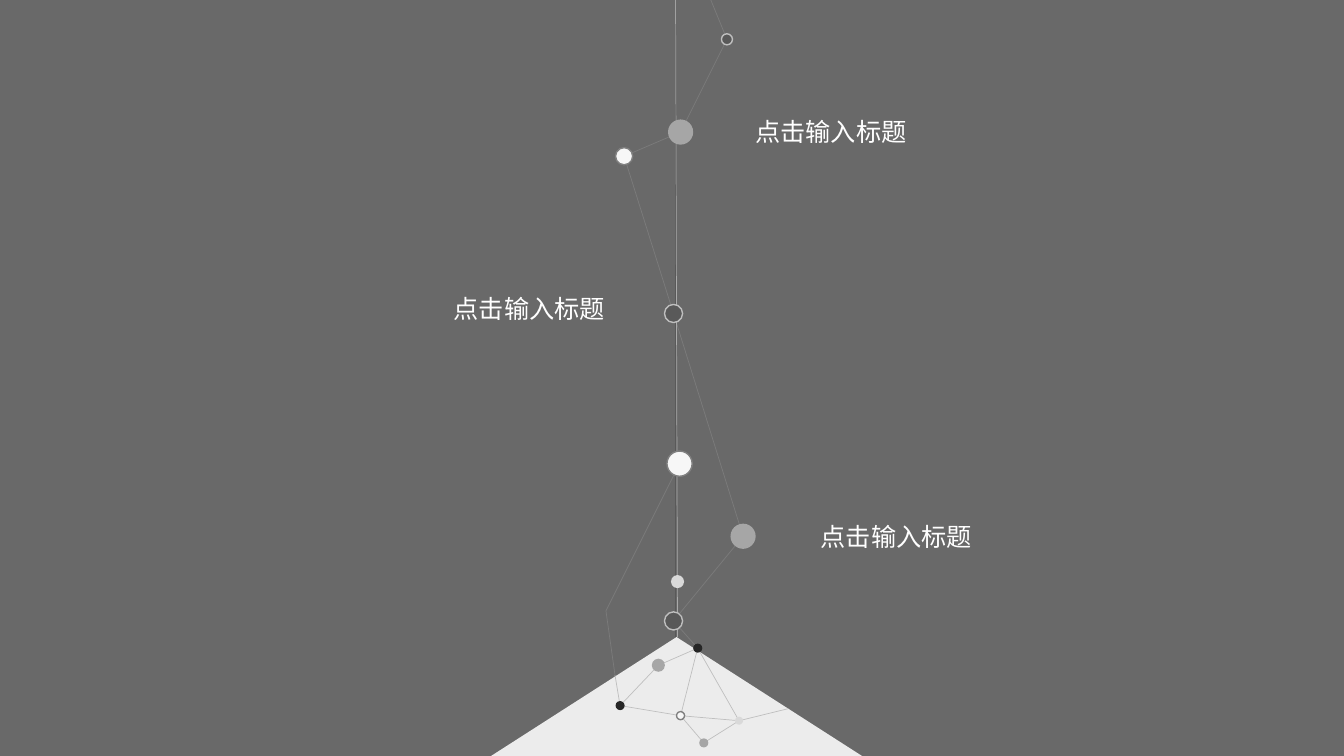
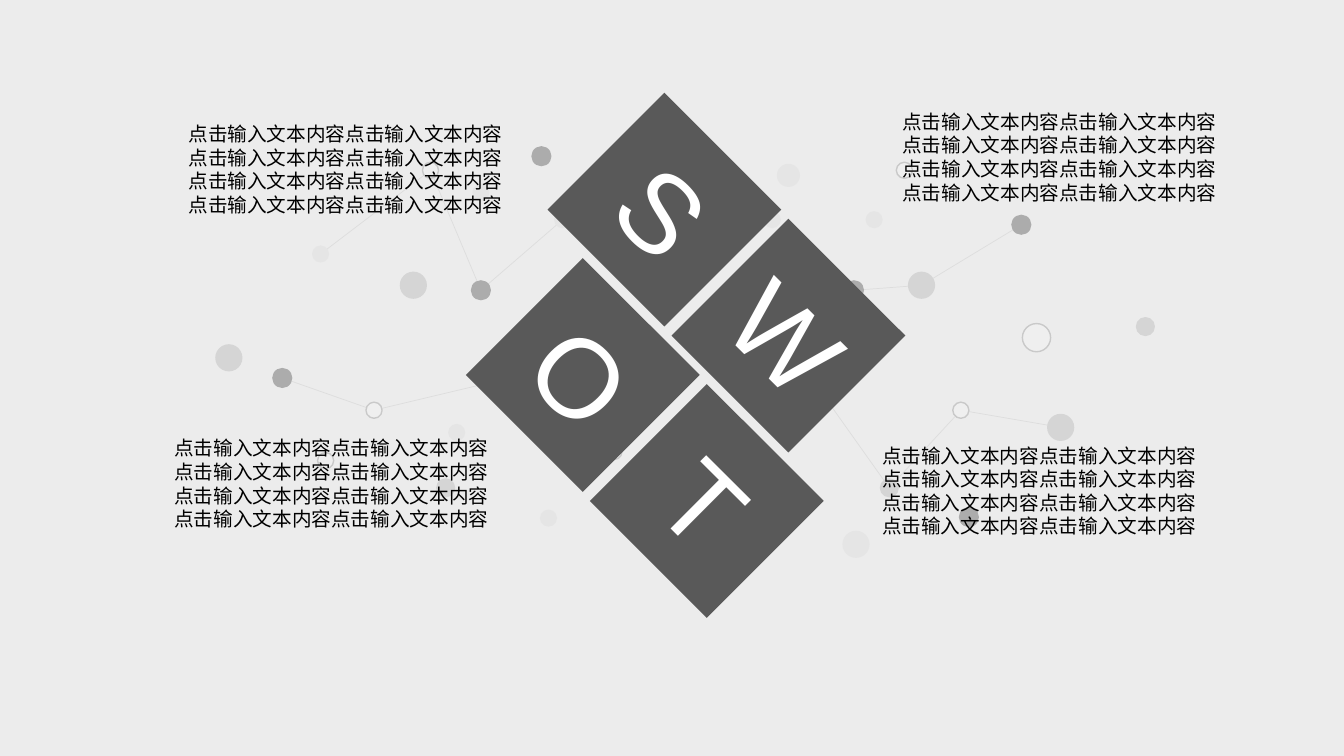
from collections import namedtuple
from itertools import pairwise

from lxml.etree import SubElement
from pptx import Presentation
from pptx.dml.color import RGBColor
from pptx.enum.shapes import MSO_CONNECTOR, MSO_SHAPE
from pptx.enum.text import MSO_ANCHOR, MSO_AUTO_SIZE, PP_ALIGN
from pptx.oxml.ns import qn
from pptx.util import Inches, Pt

COLS, ROWS = 13.33, 7.5
FONT = "Arial"
COLORS = {
    "slate": "696969", "paper": "ECECEC", "dark": "595959", "ink": "262626",
    "mid": "A6A6A6", "pale": "D9D9D9", "snow": "F7F7F7", "edge": "808080",
    "thread": "BFBFBF", "white": "FFFFFF", "black": "000000",
}
NODE_STYLES = {
    "ink": ("ink", None), "mid": ("mid", None), "pale": ("pale", None),
    "snow": ("snow", "edge"), "ring": ("dark", "thread"),
}
LABEL = "点击输入标题"
PHRASE = "点击输入文本内容"
BODY = [PHRASE * 4, PHRASE * 2, PHRASE * 2]

Box = namedtuple("Box", "x y w h")
Node = namedtuple("Node", "style x y d")
Point = namedtuple("Point", "x y")

TIMELINE_NODES = {
    "start": Node("ring", 7.21, 0.39, 0.11),
    "first": Node("mid", 6.75, 1.31, 0.25),
    "satellite": Node("snow", 6.19, 1.55, 0.17),
    "second": Node("ring", 6.68, 3.11, 0.18),
    "pearl": Node("snow", 6.74, 4.6, 0.25),
    "third": Node("mid", 7.37, 5.32, 0.25),
    "bead": Node("pale", 6.72, 5.77, 0.13),
    "end": Node("ring", 6.68, 6.16, 0.18),
    "summit": Node("ink", 6.92, 6.43, 0.09),
    "ridge": Node("mid", 6.53, 6.6, 0.13),
    "foot": Node("ink", 6.15, 7, 0.09),
    "core": Node("snow", 6.75, 7.1, 0.08),
    "flank": Node("pale", 7.33, 7.15, 0.08),
    "base": Node("mid", 6.98, 7.37, 0.09),
}
TIMELINE_POINTS = {
    "sky": Point(7.05, 0), "bend": Point(6.01, 6.06),
    "slope": Point(6.1, 6.7), "edge": Point(7.82, 7.03),
}
SKY_PATHS = [
    "sky start first satellite second third end summit",
    "pearl bend slope",
]
PEAK_PATHS = [
    "slope foot core flank edge",
    "foot ridge summit core base flank summit",
]
LABEL_OFFSETS = {"first": (1.49, 0), "second": (-1.43, -0.05), "third": (1.52, 0)}

MIRROR_AXIS = 6.62
PAIRED_NODES = {
    "hub": Node("mid", 4.1, 2.83, 0.27),
    "gate": Node("ink", 4.77, 2.88, 0.2),
    "top": Node("snow", 4.27, 1.69, 0.16),
    "shoulder": Node("pale", 5.58, 2.18, 0.17),
    "bridge": Node("snow", 3.71, 4.07, 0.16),
    "inner": Node("snow", 6.09, 4.48, 0.16),
    "lower": Node("mid", 4.42, 4.84, 0.19),
    "floor": Node("pale", 5.44, 5.14, 0.17),
}
SINGLE_NODES = {
    "west_end": Node("ink", 2.8, 3.75, 0.2),
    "west_high": Node("pale", 3.18, 2.52, 0.17),
    "west_far": Node("mid", 2.27, 3.55, 0.27),
    "west_low": Node("snow", 3.23, 4.57, 0.16),
    "west_near": Node("pale", 4.53, 4.29, 0.17),
    "west_text": Node("pale", 4.77, 1.91, 0.17),
    "west_crown": Node("ink", 5.37, 1.55, 0.2),
    "east_end": Node("mid", 10.52, 4.24, 0.27),
    "east_high": Node("ink", 10.13, 2.23, 0.2),
    "east_far": Node("mid", 11.36, 3.24, 0.19),
    "east_ring": Node("snow", 10.28, 3.35, 0.28),
    "east_near": Node("pale", 8.67, 2.18, 0.17),
    "east_crown": Node("pale", 7.82, 1.74, 0.23),
    "east_text": Node("ink", 9.61, 5.13, 0.2),
    "east_floor": Node("pale", 8.49, 5.4, 0.27),
}
TILE_POINTS = {"o_tile": Point(5.18, 3.72), "w_tile": Point(8.06, 3.77)}
SWOT_PATHS = [
    "west_high top_w gate_w shoulder_w",
    "west_end bridge_w o_tile",
    "gate_e hub_e east_high",
    "w_tile lower_e bridge_e east_end",
]
TILE_STEPS = {"S": (0, 0), "W": (1, 0), "O": (0, 1), "T": (1, 1)}
SWOT_TEXTS = {"S": (1.77, 1.16), "W": (8.85, 1.04), "O": (1.63, 4.28), "T": (8.65, 4.35)}


def rgb(name):
    """Return the named colour."""
    return RGBColor.from_string(COLORS[name])


def cell(box, x, y, w=0, h=0):
    """Turn grid columns and rows inside a box into slide lengths."""
    kx, ky = box.w / COLS, box.h / ROWS
    return [Inches(v) for v in (box.x + x * kx, box.y + y * ky, w * kx, h * ky)]


def centred(box, x, y, w, h):
    """Return the area of a part centred on a grid point."""
    return cell(box, x - w / 2, y - h / 2, w, h)


def mirrored(nodes):
    """Return each node on the west side and its reflection on the east side."""
    west = {f"{name}_w": n for name, n in nodes.items()}
    east = {f"{name}_e": n._replace(x=2 * MIRROR_AXIS - n.x) for name, n in nodes.items()}
    return west | east


def set_opacity(shape, percent):
    """Make every colour of a shape partly transparent."""
    for clr in shape.element.spPr.iter(qn("a:srgbClr")):
        SubElement(clr, qn("a:alpha")).set("val", str(percent * 1000))


def add_block(s, area, kind, fill, line=None, rotation=0):
    """Add a flat preset shape."""
    sp = s.shapes.add_shape(kind, *area)
    sp.shadow.inherit = False
    sp.rotation = rotation
    sp.fill.solid()
    sp.fill.fore_color.rgb = rgb(fill)
    if line:
        sp.line.color.rgb = rgb(line)
        sp.line.width = Pt(1)
    else:
        sp.line.fill.background()
    return sp


def add_line(s, box, start, end, color="thread", width=0.5, opacity=100):
    """Add a straight line between two grid points."""
    ends = [cell(box, p.x, p.y)[:2] for p in (start, end)]
    c = s.shapes.add_connector(MSO_CONNECTOR.STRAIGHT, *ends[0], *ends[1])
    c.line.color.rgb = rgb(color)
    c.line.width = Pt(width)
    SubElement(c.element.spPr, qn("a:effectLst"))
    if opacity < 100:
        set_opacity(c, opacity)


def add_paths(s, box, paths, places, opacity=100):
    """Link the named places along each path."""
    for path in paths:
        for a, b in pairwise(path.split()):
            add_line(s, box, places[a], places[b], opacity=opacity)


def add_nodes(s, box, nodes):
    """Add the round nodes of a network."""
    for n in nodes.values():
        add_block(s, centred(box, n.x, n.y, n.d, n.d), MSO_SHAPE.OVAL, *NODE_STYLES[n.style])


def write(sp, lines, size, color, align=PP_ALIGN.LEFT, anchor=MSO_ANCHOR.TOP, grow=False):
    """Write formatted paragraphs into a shape."""
    tf = sp.text_frame
    tf.word_wrap = True
    tf.vertical_anchor = anchor
    if grow:
        tf.auto_size = MSO_AUTO_SIZE.SHAPE_TO_FIT_TEXT
    for i, text in enumerate(lines):
        p = tf.add_paragraph() if i else tf.paragraphs[0]
        p.alignment = align
        r = p.add_run()
        r.text = text
        r.font.name = FONT
        r.font.size = Pt(size)
        r.font.color.rgb = rgb(color)


def add_labels(s, box, nodes):
    """Set a label beside each main node of the timeline."""
    for name, (dx, dy) in LABEL_OFFSETS.items():
        n = nodes[name]
        sp = s.shapes.add_textbox(*centred(box, n.x + dx, n.y + dy, 2.62, 0.4))
        write(sp, [LABEL], size=18, color="white", align=PP_ALIGN.CENTER, grow=True)


def add_tiles(s, box, x=6.59, y=2.08, side=1.64):
    """Add the four tilted letter tiles on a slanted two by two grid."""
    for letter, (i, j) in TILE_STEPS.items():
        area = centred(box, x + 1.23 * i - 0.81 * j, y + 1.25 * i + 1.64 * j, side, side)
        sp = add_block(s, area, MSO_SHAPE.RECTANGLE, "dark", rotation=45)
        write(sp, [letter], size=80, color="white", align=PP_ALIGN.CENTER,
              anchor=MSO_ANCHOR.MIDDLE)


def add_texts(s, box):
    """Add the text block that belongs to each letter."""
    for x, y in SWOT_TEXTS.values():
        sp = s.shapes.add_textbox(*cell(box, x, y, 3.42, 1.28))
        write(sp, BODY, size=14, color="black", grow=True)


def new_slide(prs, background):
    """Add a blank slide with a plain background."""
    s = prs.slides.add_slide(prs.slide_layouts[6])
    s.background.fill.solid()
    s.background.fill.fore_color.rgb = rgb(background)
    return s


def timeline_slide(prs, box):
    """Build the vertical timeline rising from a peak."""
    s = new_slide(prs, "slate")
    places = TIMELINE_NODES | TIMELINE_POINTS
    top = Point(6.7, 0)
    add_line(s, box, top, Point(6.7, ROWS), color="dark", width=1)
    add_block(s, cell(box, 4.87, 6.32, 3.68, 1.18), MSO_SHAPE.ISOSCELES_TRIANGLE, "paper")
    add_line(s, box, top, Point(6.72, 6.32), color="white", opacity=43)
    add_paths(s, box, SKY_PATHS, places, opacity=21)
    add_paths(s, box, PEAK_PATHS, places)
    add_nodes(s, box, TIMELINE_NODES)
    add_labels(s, box, TIMELINE_NODES)


def swot_slide(prs, box):
    """Build the SWOT tiles over a veiled network."""
    s = new_slide(prs, "paper")
    nodes = mirrored(PAIRED_NODES) | SINGLE_NODES
    add_paths(s, box, SWOT_PATHS, nodes | TILE_POINTS)
    add_nodes(s, box, nodes)
    veil = add_block(s, cell(box, 0, 0, COLS, ROWS), MSO_SHAPE.RECTANGLE, "paper")
    set_opacity(veil, 68)
    add_tiles(s, box)
    add_texts(s, box)


def main():
    """Build and save the presentation."""
    prs = Presentation()
    prs.slide_width, prs.slide_height = Inches(COLS), Inches(ROWS)
    page = Box(0, 0, COLS, ROWS)
    timeline_slide(prs, page)
    swot_slide(prs, page)
    prs.save("out.pptx")


if __name__ == "__main__":
    main()
